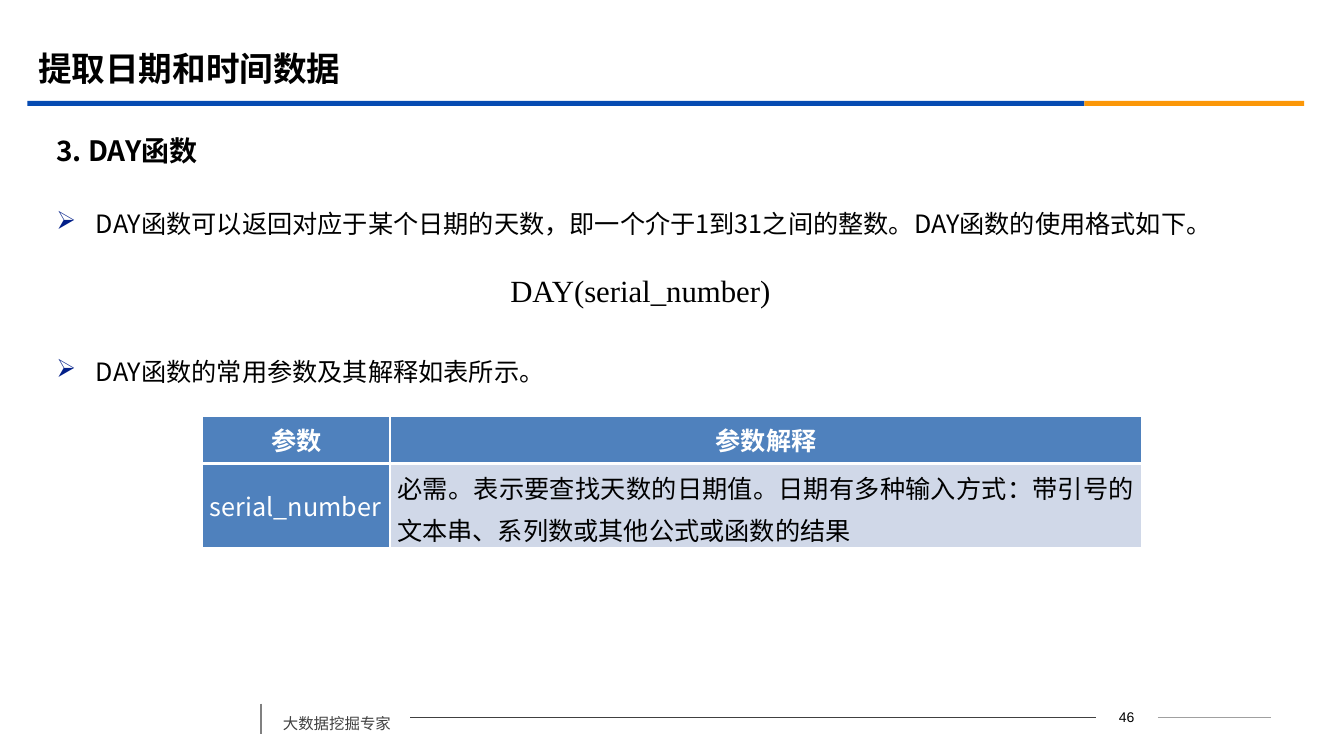
import pptx
import pptx.util
import pptx.dml.color
import pptx.enum.shapes
import pptx.enum.text
from lxml import etree
from pptx.oxml.ns import qn

Cm, Pt = pptx.util.Cm, pptx.util.Pt
RGB = pptx.dml.color.RGBColor
ALIGN = pptx.enum.text.PP_ALIGN
ANCHOR = pptx.enum.text.MSO_ANCHOR

BLACK, WHITE = RGB(0, 0, 0), RGB(255, 255, 255)
BLUE, ORANGE = RGB(0x06, 0x4B, 0xB2), RGB(0xFB, 0x97, 0x08)
BULLET_BLUE = RGB(0x03, 0x20, 0x89)
HEADER_BLUE, PALE_BLUE = RGB(0x4F, 0x81, 0xBD), RGB(0xD0, 0xD8, 0xE8)
DARK_GREY, MID_GREY, LIGHT_GREY = RGB(0x40, 0x40, 0x40), RGB(0x80, 0x80, 0x80), RGB(0xA0, 0xA0, 0xA0)
SANS, SERIF, ARIAL = "Noto Sans CJK SC", "Times New Roman", "Arial"

# Places are left, top, width, height in centimetres.
TITLE = ("提取日期和时间数据", (0.71, 0.99, 30.48, 1.47))
HEADING = ("3. DAY函数", (1.17, 3.18, 30.86, 1.19))
POINTS = [
    "DAY函数可以返回对应于某个日期的天数，即一个介于1到31之间的整数。DAY函数的使用格式如下。",
    "DAY函数的常用参数及其解释如表所示。",
]
POINTS_PLACE = (1.17, 4.75, 30.86, 12.06)
SYNTAX = ("DAY(serial_number)", (11.61, 6.73, 10.64, 1.19))
PARAMETERS = [
    ("参数", "参数解释"),
    ("serial_number", "必需。表示要查找天数的日期值。日期有多种输入方式：带引号的文本串、系列数或其他公式或函数的结果"),
]
TABLE_LEFT, TABLE_TOP = 5.11, 10.49
COLUMN_WIDTHS, ROW_HEIGHTS = (4.72, 18.95), (1.19, 2.12)
SLOGAN = ("大数据挖掘专家", (6.88, 17.63, 3.45, 0.97))
PAGE_NUMBER = ("46", (27.61, 17.75, 1.57, 0.64))
BANDS = [(0.69, 26.64, BLUE), (27.33, 5.54, ORANGE)]
BAND_TOP, BAND_HEIGHT = 2.54, 0.13
RULES = [  # start, end, colour, width in points
    ((29.18, 18.08), (32.03, 18.08), LIGHT_GREY, 0.75),
    ((10.34, 18.08), (27.61, 18.08), DARK_GREY, 0.75),
    ((6.58, 17.73), (6.58, 18.49), MID_GREY, 1.25),
]


def style(paragraph, size, font, color, bold=False):
    for run in paragraph.runs:
        run.font.size, run.font.name, run.font.bold = Pt(size), font, bold
        run.font.color.rgb = color
        east_asian = etree.Element(qn("a:ea"), typeface=SANS)
        run.font._element.find(qn("a:latin")).addnext(east_asian)


def add_text(slide, lines, place, size, font, color, bold=False, anchor=ANCHOR.TOP):
    frame = slide.shapes.add_textbox(*map(Cm, place)).text_frame
    frame.word_wrap = True
    frame.vertical_anchor = anchor
    frame.text = "\n".join(lines)
    for paragraph in frame.paragraphs:
        style(paragraph, size, font, color, bold)
    return frame


def add_bullet(paragraph):
    properties = paragraph._p.get_or_add_pPr()
    properties.set("marL", str(Cm(1)))
    properties.set("indent", str(-Cm(1)))
    color = etree.SubElement(properties, qn("a:buClr"))
    etree.SubElement(color, qn("a:srgbClr"), val=str(BULLET_BLUE))
    etree.SubElement(properties, qn("a:buChar"), char="➢")


def set_borders(cell, bottom_width):
    properties = cell._tc.get_or_add_tcPr()
    widths = {"a:lnL": 1, "a:lnR": 1, "a:lnT": 1, "a:lnB": bottom_width}
    for position, (side, width) in enumerate(widths.items()):
        border = etree.Element(qn(side), w=str(Pt(width)))
        fill = etree.SubElement(border, qn("a:solidFill"))
        etree.SubElement(fill, qn("a:srgbClr"), val=str(WHITE))
        properties.insert(position, border)


def add_furniture(slide):
    """Draw the coloured bands, footer rules, slogan and page number."""
    for left, width, color in BANDS:
        band = slide.shapes.add_shape(pptx.enum.shapes.MSO_SHAPE.RECTANGLE,
                                      Cm(left), Cm(BAND_TOP), Cm(width), Cm(BAND_HEIGHT))
        band.shadow.inherit = False
        band.fill.solid()
        band.fill.fore_color.rgb = color
        band.line.fill.background()
    for start, end, color, width in RULES:
        rule = slide.shapes.add_connector(pptx.enum.shapes.MSO_CONNECTOR.STRAIGHT,
                                          *map(Cm, start + end))
        rule.line.color.rgb, rule.line.width = color, Pt(width)
        etree.SubElement(rule._element.spPr, qn("a:effectLst"))
    slogan, place = SLOGAN
    add_text(slide, [slogan], place, 11, SANS, DARK_GREY).paragraphs[0].line_spacing = 1.5
    number, place = PAGE_NUMBER
    frame = add_text(slide, [number], place, 10, ARIAL, BLACK, anchor=ANCHOR.MIDDLE)
    frame.margin_top = frame.margin_bottom = 0
    frame.paragraphs[0].alignment = ALIGN.CENTER


def add_points(slide):
    points = add_text(slide, POINTS, POINTS_PLACE, 18, SANS, BLACK).paragraphs
    for point in points:
        add_bullet(point)
        point.line_spacing = 1.5
    points[1].space_before = Pt(73)


def add_parameters(slide):
    table = slide.shapes.add_table(len(PARAMETERS), len(COLUMN_WIDTHS),
                                   Cm(TABLE_LEFT), Cm(TABLE_TOP),
                                   Cm(sum(COLUMN_WIDTHS)), Cm(sum(ROW_HEIGHTS))).table
    for column, width in zip(table.columns, COLUMN_WIDTHS):
        column.width = Cm(width)
    for row, height in zip(table.rows, ROW_HEIGHTS):
        row.height = Cm(height)
    for r, texts in enumerate(PARAMETERS):
        for c, text in enumerate(texts):
            header, explanation = r == 0, r > 0 and c == 1
            cell = table.cell(r, c)
            cell.text = text
            cell.vertical_anchor = ANCHOR.MIDDLE
            cell.margin_left = cell.margin_right = Cm(0.18)
            cell.margin_top = cell.margin_bottom = 0
            cell.fill.solid()
            cell.fill.fore_color.rgb = PALE_BLUE if explanation else HEADER_BLUE
            set_borders(cell, 3 if header else 1)
            paragraph = cell.text_frame.paragraphs[0]
            paragraph.alignment = ALIGN.CENTER if header else ALIGN.JUSTIFY
            if explanation:
                paragraph.line_spacing = Pt(30)
            style(paragraph, 18, SANS, BLACK if explanation else WHITE, header)


def main():
    deck = pptx.Presentation()
    deck.slide_width, deck.slide_height = Cm(33.87), Cm(19.05)
    slide = deck.slides.add_slide(deck.slide_layouts[6])
    add_furniture(slide)
    title, place = TITLE
    add_text(slide, [title], place, 24, SERIF, BLACK, True, ANCHOR.MIDDLE)
    heading, place = HEADING
    add_text(slide, [heading], place, 20, SANS, BLACK, True, ANCHOR.MIDDLE)
    add_points(slide)
    syntax, place = SYNTAX
    frame = add_text(slide, [syntax], place, 22, SERIF, BLACK)
    frame.paragraphs[0]._p.get_or_add_pPr().set("marL", str(Cm(1)))
    add_parameters(slide)
    deck.save("out.pptx")


if __name__ == "__main__":
    main()
